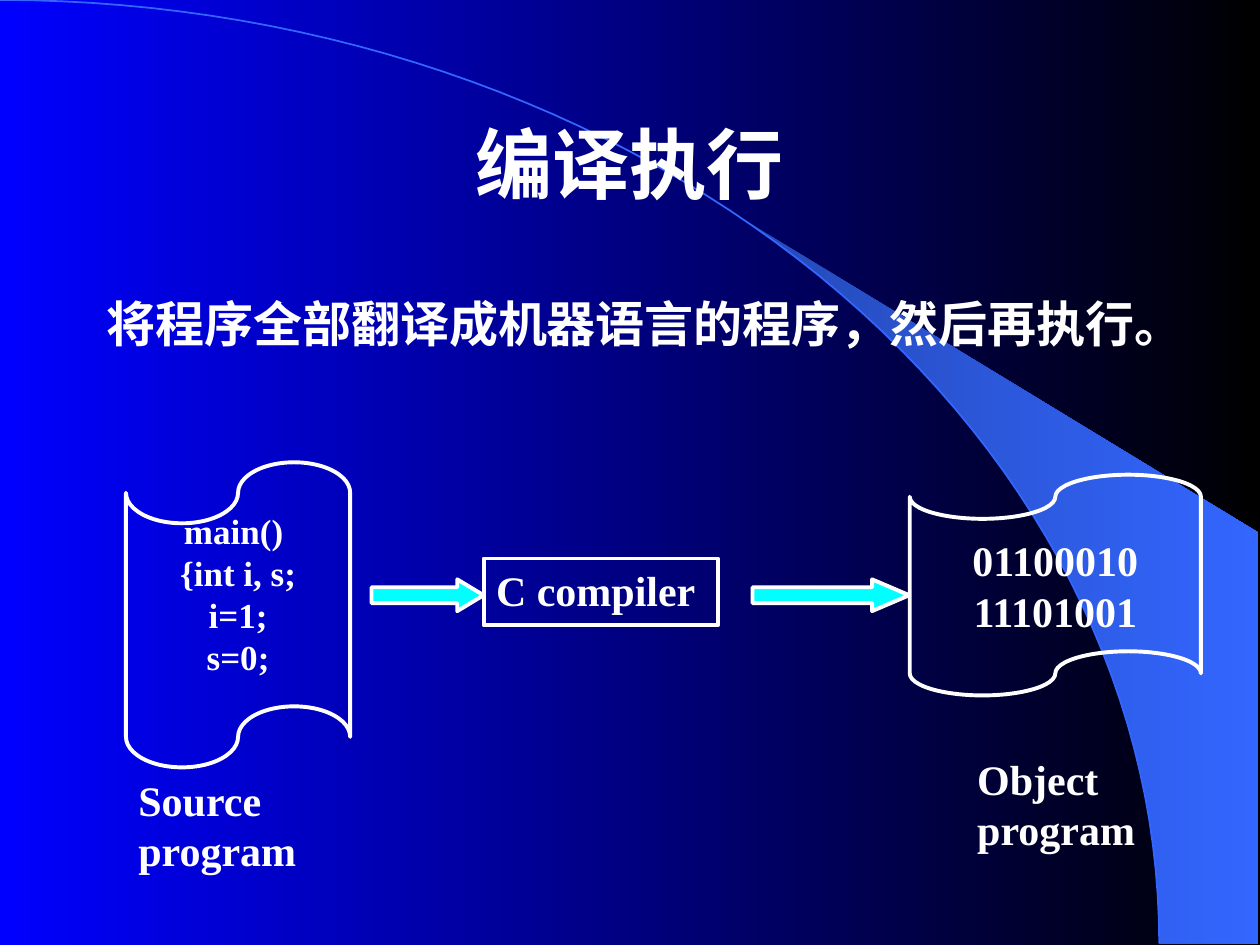
"""Build the slide that shows how a compiled program is run."""
import math

import pptx
import pptx.dml.color
import pptx.enum.shapes
import pptx.enum.text
import pptx.util
from lxml import etree
from pptx.oxml.ns import qn

Cm = pptx.util.Cm
Pt = pptx.util.Pt
RGBColor = pptx.dml.color.RGBColor
MSO_SHAPE = pptx.enum.shapes.MSO_SHAPE
MSO_ANCHOR = pptx.enum.text.MSO_ANCHOR
PP_ALIGN = pptx.enum.text.PP_ALIGN

WHITE = RGBColor(255, 255, 255)
BLACK = RGBColor(0, 0, 0)
BLUE = RGBColor(0, 0, 255)
ARC_BLUE = RGBColor(0x33, 0x66, 0xFF)
DEEP_BLUE = RGBColor(0x24, 0x49, 0xB6)
CYAN = RGBColor(0, 255, 255)
SERIF, SANS, CJK = "Times New Roman", "Arial", "Noto Sans CJK SC"
ARC_WIDTH, ARC_HEIGHT = 23.37, 19.02


def arc_points(start, end, steps=60):
    angles = [math.radians(start + (end - start) * i / steps) for i in range(steps + 1)]
    return [(ARC_WIDTH * math.sin(a), ARC_HEIGHT * (1 - math.cos(a))) for a in angles]


class Deck:
    def __init__(self, slide):
        self.slide = slide
        self.line_width = Pt(2.25)

    def gradient(self, fill, *colors):
        fill.gradient()
        fill.gradient_angle = 0
        for stop, color, position in zip(fill.gradient_stops, colors, (0, 1)):
            stop.color.rgb = color
            stop.position = position

    def outline(self, points, closed):
        points = [(Cm(x), Cm(y)) for x, y in points]
        builder = self.slide.shapes.build_freeform(*points[0])
        builder.add_line_segments(points[1:], close=closed)
        sp = builder.convert_to_shape()
        sp.shadow.inherit = False
        return sp

    def shape(self, kind, box, fill=None):
        sp = self.slide.shapes.add_shape(kind, *map(Cm, box))
        sp.shadow.inherit = False
        sp.line.color.rgb = WHITE
        sp.line.width = self.line_width
        if fill is None:
            sp.fill.background()
        else:
            sp.fill.solid()
            sp.fill.fore_color.rgb = fill
        return sp

    def arrow(self, box, head):
        sp = self.shape(MSO_SHAPE.RIGHT_ARROW, box, CYAN)
        sp.adjustments[1] = head

    def set_text(self, sp, lines, size, font=SERIF, align=PP_ALIGN.LEFT,
                 anchor=MSO_ANCHOR.TOP, wrap=True):
        tf = sp.text_frame
        tf.word_wrap = wrap
        tf.vertical_anchor = anchor
        tf.text = "\n".join(lines)
        for p in tf.paragraphs:
            p.alignment = align
            p.font.name = font
            p.font.size = Pt(size)
            p.font.bold = True
            p.font.color.rgb = WHITE
            props = p._p.pPr.find(qn("a:defRPr"))
            etree.SubElement(props, qn("a:ea")).set("typeface", CJK)
        return tf

    def text(self, box, line, size, **style):
        sp = self.slide.shapes.add_textbox(*map(Cm, box))
        return self.set_text(sp, [line], size, **style)

    def tape(self, box, lines, size):
        sp = self.shape(MSO_SHAPE.FLOWCHART_PUNCHED_TAPE, box)
        return self.set_text(sp, lines, size, align=PP_ALIGN.CENTER,
                             anchor=MSO_ANCHOR.MIDDLE, wrap=False)


def main():
    prs = pptx.Presentation()
    prs.slide_width, prs.slide_height = Cm(25.4), Cm(19.05)
    deck = Deck(prs.slides.add_slide(prs.slide_layouts[6]))
    deck.gradient(deck.slide.background.fill, BLUE, BLACK)

    wedge = deck.outline(arc_points(39.8, 90) + [(25.37, 19.02), (25.37, 10.74)], True)
    deck.gradient(wedge.fill, DEEP_BLUE, ARC_BLUE)
    wedge.line.fill.background()
    arc = deck.outline(arc_points(0, 90), False)
    arc.fill.background()
    arc.line.color.rgb = ARC_BLUE
    arc.line.width = Pt(1)

    deck.text((1.9, 1.7, 21.6, 3.18), "编译执行", 44, font=SANS,
              align=PP_ALIGN.CENTER, anchor=MSO_ANCHOR.MIDDLE)
    deck.text((1.9, 5.8, 21.6, 1.45), "将程序全部翻译成机器语言的程序，然后再执行。", 28, font=CJK)

    source = deck.tape((2.54, 9.32, 4.52, 6.15),
                       ["main() ", "{int i, s;", "i=1;", "s=0;"], 20)
    source.margin_left = source.margin_right = source.margin_top = 0
    source.margin_bottom = Cm(0.85)
    compiler = deck.shape(MSO_SHAPE.RECTANGLE, (9.75, 11.26, 4.72, 1.35))
    deck.set_text(compiler, ["C compiler"], 24)
    deck.tape((18.34, 9.57, 5.87, 4.45), ["01100010", "11101001"], 24)

    deck.arrow((7.49, 11.68, 2.26, 0.64), 0.83)
    deck.arrow((15.17, 11.68, 3.16, 0.64), 1.17)
    deck.text((2.54, 15.49, 4.95, 2.29), "Source program", 24)
    deck.text((19.45, 15.06, 4.29, 2.29), "Object program", 24)
    prs.save("out.pptx")


if __name__ == "__main__":
    main()
